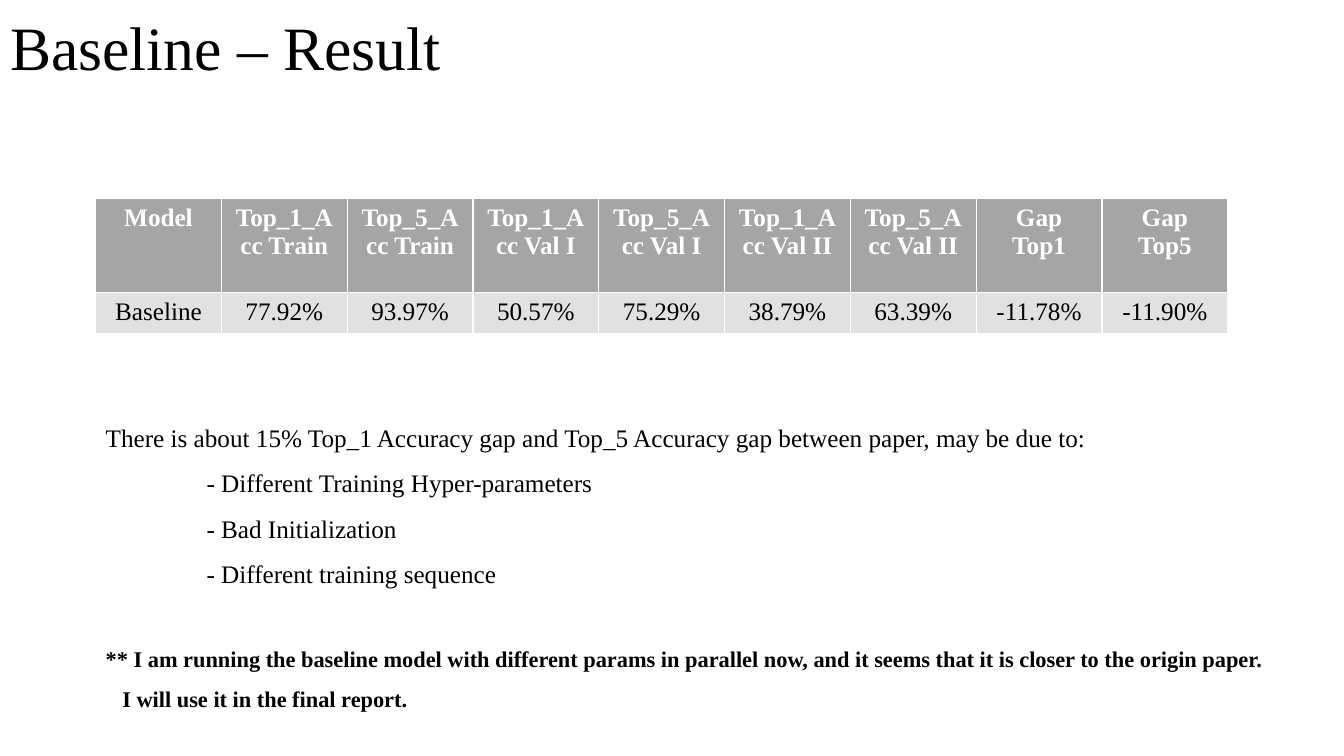
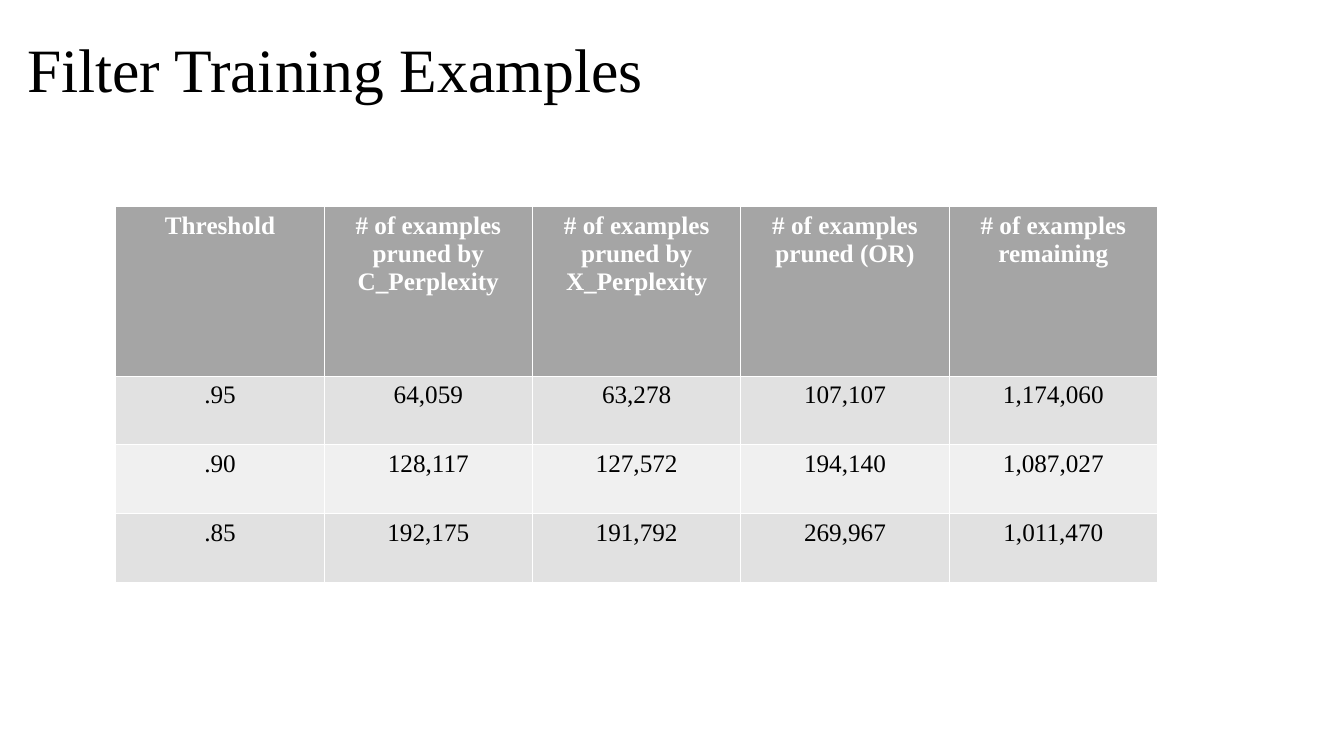
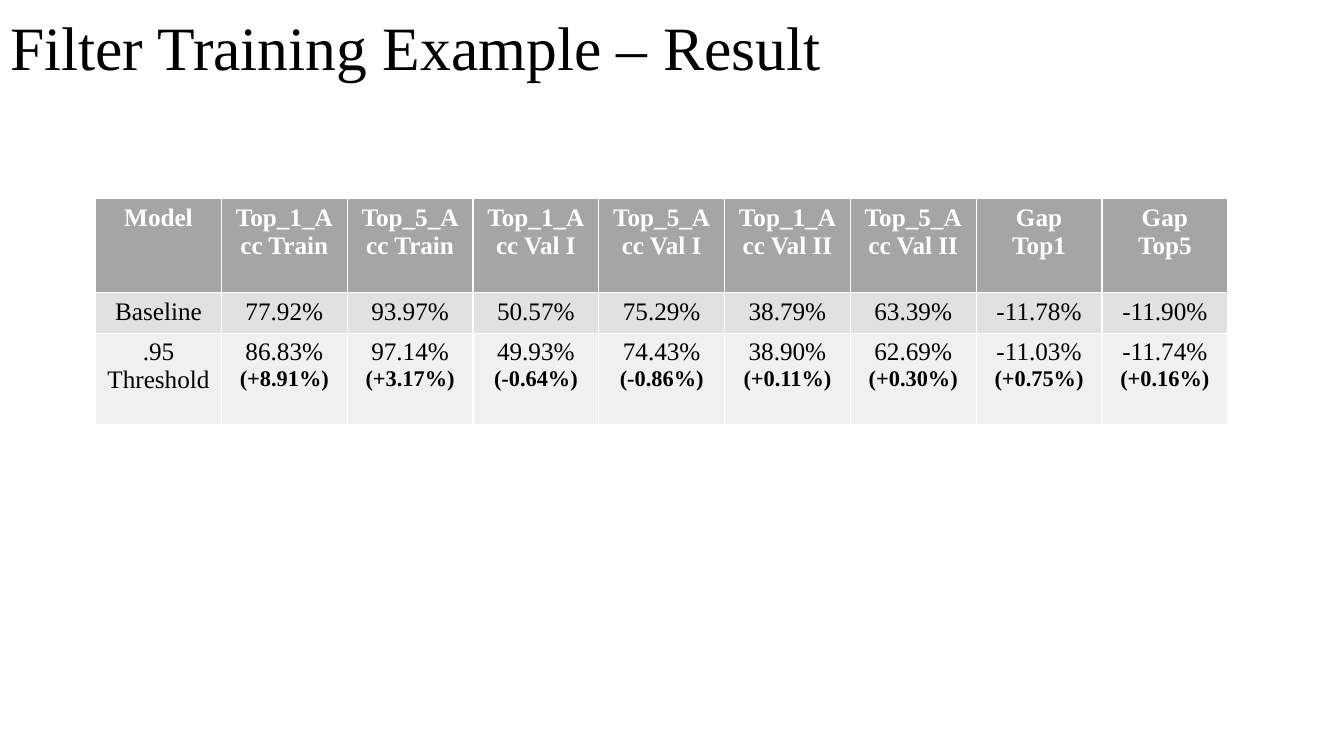
from lxml.etree import SubElement
from pptx import Presentation
from pptx.dml.color import RGBColor
from pptx.enum.text import MSO_ANCHOR, MSO_AUTO_SIZE, PP_ALIGN
from pptx.oxml.ns import qn
from pptx.util import Cm, Pt

COLORS = {"text": "000000", "header_text": "FFFFFF", "header": "A5A5A5",
          "odd_row": "E1E1E1", "even_row": "F0F0F0"}
FONT = "Times New Roman"


def write(paragraph, text, size=18, bold=False, color="text",
          align=PP_ALIGN.LEFT, line_spacing=1.0, space_before=0):
    paragraph.text = text
    paragraph.alignment = align
    paragraph.line_spacing = line_spacing
    paragraph.space_before = Pt(space_before)
    for run in paragraph.runs:
        run.font.name = FONT
        run.font.size = Pt(size)
        run.font.bold = bold
        run.font.color.rgb = RGBColor.from_string(COLORS[color])


def place(shape, left, top, width, height):
    shape.left, shape.top = Cm(left), Cm(top)
    shape.width, shape.height = Cm(width), Cm(height)
    shape.text_frame.auto_size = MSO_AUTO_SIZE.NONE


# Table contents: the first row is the header, a second line in a cell is a change
accuracy_rows = [
    ["Model", "Top_1_Acc Train", "Top_5_Acc Train", "Top_1_Acc Val I", "Top_5_Acc Val I",
     "Top_1_Acc Val II", "Top_5_Acc Val II", "Gap Top1", "Gap Top5"],
    ["Baseline", "77.92%", "93.97%", "50.57%", "75.29%",
     "38.79%", "63.39%", "-11.78%", "-11.90%"],
]
threshold_row = [
    ".95 Threshold", "86.83%\n(+8.91%)", "97.14%\n(+3.17%)", "49.93%\n(-0.64%)",
    "74.43%\n(-0.86%)", "38.90%\n(+0.11%)", "62.69%\n(+0.30%)",
    "-11.03%\n(+0.75%)", "-11.74%\n(+0.16%)",
]
pruning_rows = [
    ["Threshold", "# of examples pruned by C_Perplexity",
     "# of examples pruned by X_Perplexity", "# of examples pruned (OR)",
     "# of examples remaining"],
    [".95", "64,059", "63,278", "107,107", "1,174,060"],
    [".90", "128,117", "127,572", "194,140", "1,087,027"],
    [".85", "192,175", "191,792", "269,967", "1,011,470"],
]

# Explanation below the baseline table
explanation = [
    ("There is about 15% Top_1 Accuracy gap and Top_5 Accuracy gap between paper, "
     "may be due to:", 0, 0, {}),
    ("- Different Training Hyper-parameters", 2.54, 0, {}),
    ("- Bad Initialization", 2.54, 0, {}),
    ("- Different training sequence", 2.54, 0, {}),
    ("** I am running the baseline model with different params in parallel now, "
     "and it seems that it is closer to the origin paper.\vI will use it in the final report.",
     0.42, -0.42, {"size": 16, "bold": True, "space_before": 31}),
]

# Lengths in cm
accuracy_place = {"left": 2.41, "top": 5.01, "column_width": 3.17}
result_title = (0, -0.56)
slides = [
    {"title": "Baseline – Result", "title_at": result_title, "rows": accuracy_rows,
     "row_heights": [2.36, 1.03], "body": explanation, **accuracy_place},
    {"title": "Filter Training Examples", "title_at": (0.43, 0), "rows": pruning_rows,
     "row_heights": [4.27, 1.73, 1.73, 1.73],
     "left": 2.92, "top": 5.21, "column_width": 5.25},
    {"title": "Filter Training Example – Result", "title_at": result_title,
     "rows": accuracy_rows + [threshold_row],
     "row_heights": [2.36, 1.03, 2.29], **accuracy_place},
]

presentation = Presentation()
presentation.slide_width, presentation.slide_height = Cm(33.87), Cm(19.05)
content_layout = presentation.slide_layouts.get_by_name("Title and Content")
title_layout = presentation.slide_layouts.get_by_name("Title Only")

for content in slides:
    slide = presentation.slides.add_slide(content_layout if "body" in content else title_layout)

    # Title
    title = slide.shapes.title
    place(title, *content["title_at"], 29.21, 3.68)
    title.text_frame.vertical_anchor = MSO_ANCHOR.MIDDLE
    write(title.text_frame.paragraphs[0], content["title"], size=44, line_spacing=0.9)

    # Table: white rules come from the default table style
    rows, heights = content["rows"], content["row_heights"]
    column_count = len(rows[0])
    table = slide.shapes.add_table(
        len(rows), column_count, Cm(content["left"]), Cm(content["top"]),
        Cm(content["column_width"] * column_count), Cm(sum(heights))).table
    for column in table.columns:
        column.width = Cm(content["column_width"])
    for row_index, values in enumerate(rows):
        table.rows[row_index].height = Cm(heights[row_index])
        is_header = row_index == 0
        fill = "header" if is_header else "odd_row" if row_index % 2 else "even_row"
        for column_index, value in enumerate(values):
            cell = table.cell(row_index, column_index)
            cell.fill.solid()
            cell.fill.fore_color.rgb = RGBColor.from_string(COLORS[fill])
            main_text, *changes = value.split("\n")
            write(cell.text_frame.paragraphs[0], main_text, bold=is_header,
                  color="header_text" if is_header else "text", align=PP_ALIGN.CENTER)
            for change in changes:
                write(cell.text_frame.add_paragraph(), change, size=16, bold=True,
                      align=PP_ALIGN.CENTER)

    # Body text without bullets
    if "body" in content:
        body = slide.placeholders[1]
        place(body, 2.41, 10.13, 29.97, 8.2)
        for index, (text, margin, indent, text_format) in enumerate(content["body"]):
            frame = body.text_frame
            paragraph = frame.add_paragraph() if index else frame.paragraphs[0]
            write(paragraph, text, line_spacing=1.5, **text_format)
            properties = paragraph._p.get_or_add_pPr()
            properties.set("marL", str(Cm(margin)))
            properties.set("indent", str(Cm(indent)))
            SubElement(properties, qn("a:buNone"))

presentation.save("out.pptx")
